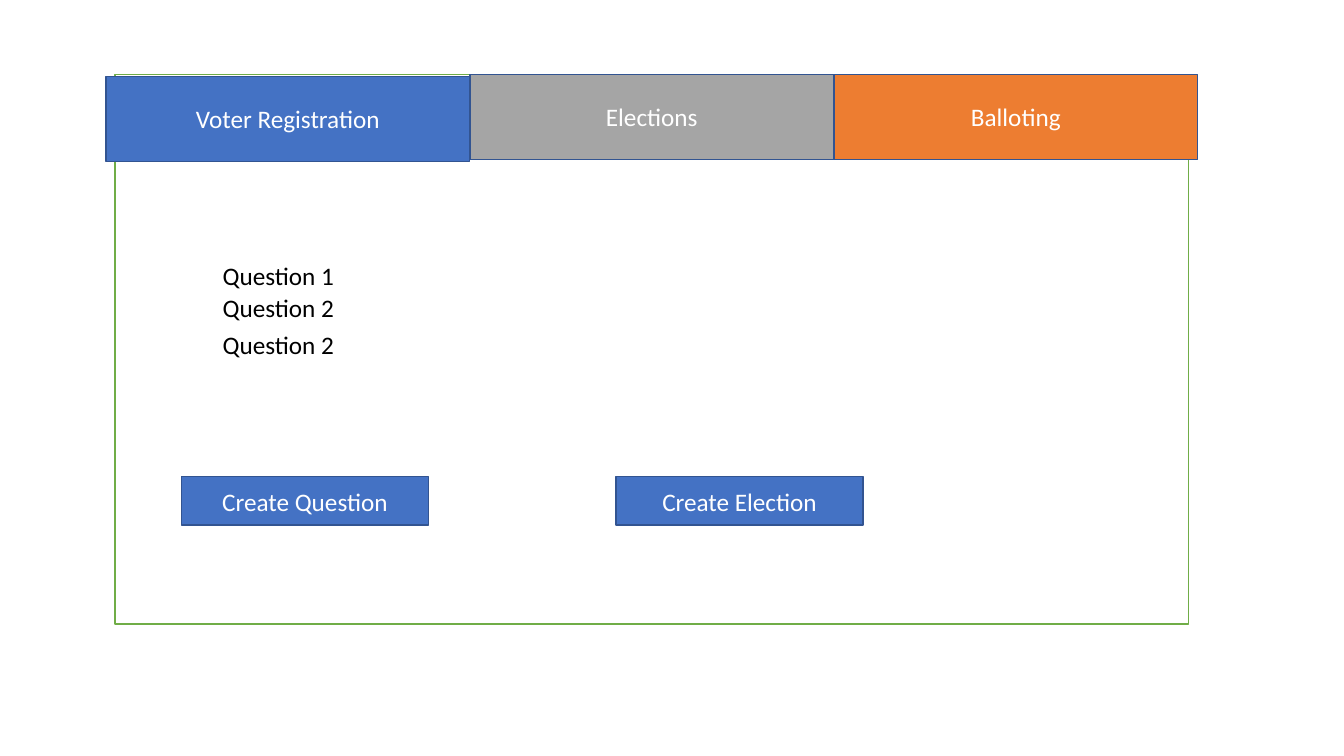
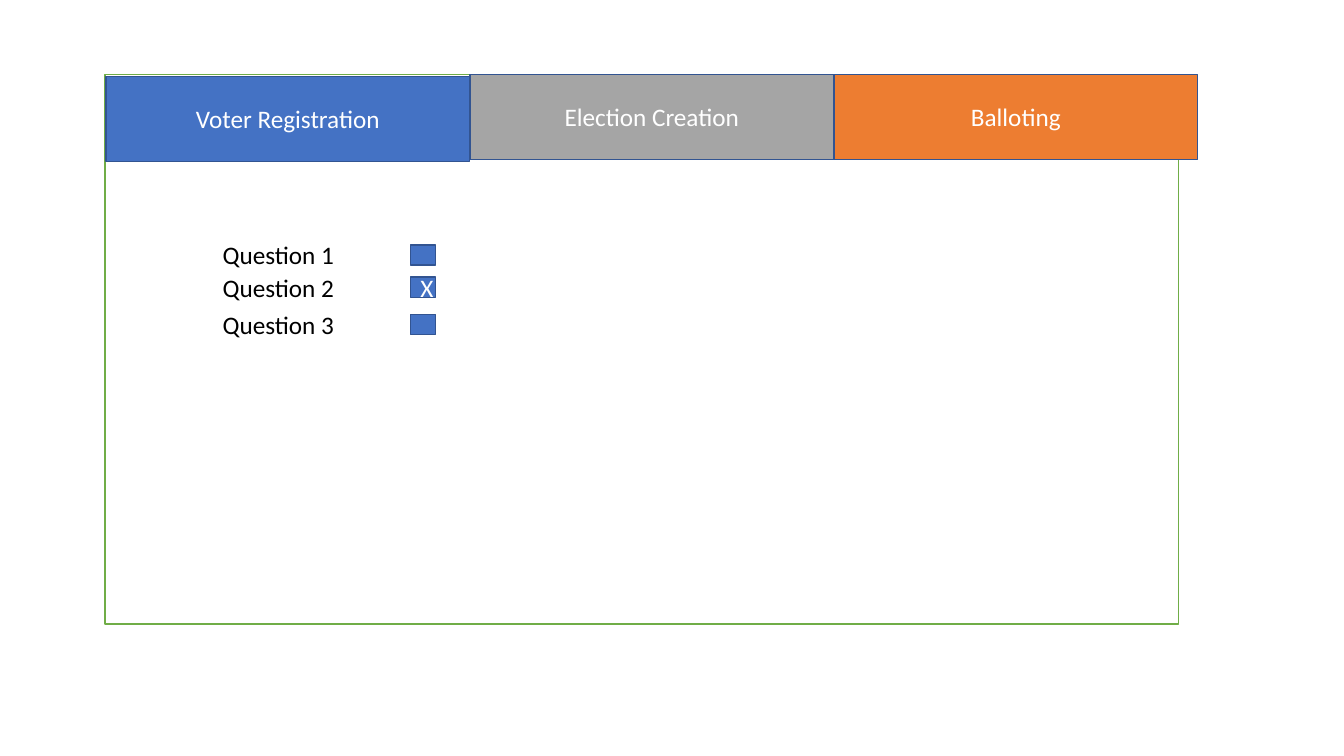
"""Builds two mock-up screens of a voting application."""
from pptx import Presentation
from pptx.dml.color import RGBColor
from pptx.enum import shapes, text
from pptx.util import Inches, Pt

HUES = {
    "blue": "4472C4", "grey": "A5A5A5", "orange": "ED7D31", "green": "70AD47",
    "edge": "325491", "white": "FFFFFF", "black": "000000",
}
STEPS = (0, 0.32, 0.69)


class Deck:
    """Holds the style and the current slide."""

    font, size = "Calibri", Pt(18)

    def __init__(self):
        """Start an empty wide deck."""
        self.prs = Presentation()
        self.prs.slide_width = Inches(13.33)
        self.prs.slide_height = Inches(7.5)
        self.slide = None

    def hue(self, name):
        """Return a palette colour."""
        return RGBColor.from_string(HUES[name])

    def fill_in(self, frame, words, hue):
        """Put one styled run in a text frame."""
        frame.word_wrap = True
        run = frame.paragraphs[0].add_run()
        run.text = words
        run.font.name, run.font.size = self.font, self.size
        run.font.color.rgb = self.hue(hue)

    def box(self, x, y, w, h, words="", fill="blue", line="edge"):
        """Add a rectangle with optional centred text."""
        rect = self.slide.shapes.add_shape(
            shapes.MSO_SHAPE.RECTANGLE, Inches(x), Inches(y), Inches(w), Inches(h))
        rect.shadow.inherit = False
        rect.fill.solid()
        rect.fill.fore_color.rgb = self.hue(fill)
        rect.line.color.rgb = self.hue(line)
        rect.line.width = Pt(1)
        if words:
            frame = rect.text_frame
            frame.vertical_anchor = text.MSO_ANCHOR.MIDDLE
            frame.paragraphs[0].alignment = text.PP_ALIGN.CENTER
            self.fill_in(frame, words, "white")

    def label(self, x, y, words):
        """Add a plain line of text."""
        area = self.slide.shapes.add_textbox(
            Inches(x), Inches(y), Inches(2.75), Inches(0.4))
        self.fill_in(area.text_frame, words, "black")
        area.text_frame.auto_size = text.MSO_AUTO_SIZE.SHAPE_TO_FIT_TEXT

    def screen(self, left, middle):
        """Start a slide with its frame and three tabs."""
        self.slide = self.prs.slides.add_slide(self.prs.slide_layouts[6])
        self.box(left, 0.74, 10.65, 5.45, fill="white", line="green")
        tabs = (("Voter Registration", "blue", 0.76),
                (middle, "grey", 0.74),
                ("Balloting", "orange", 0.74))
        for i, (words, fill, top) in enumerate(tabs):
            self.box(1.05 + i * 3.61, top, 3.61, 0.84, words, fill)

    def rows(self, top, items):
        """Add the question lines."""
        for step, words in zip(STEPS, items):
            self.label(2.11, top + step, words)

    def checks(self, top, marks):
        """Add the tick boxes beside the questions."""
        for step, mark in zip(STEPS, marks):
            self.box(4.07, top + step, 0.25, 0.2, mark)


def main():
    """Build and save both screens."""
    deck = Deck()

    deck.screen(1.14, "Elections")
    deck.rows(2.53, ("Question 1", "Question 2", "Question 2"))
    for x, words in ((1.8, "Create Question"), (6.11, "Create Election")):
        deck.box(x, 4.73, 2.45, 0.48, words)

    deck.screen(1.04, "Election Creation")
    deck.rows(2.33, ("Question 1", "Question 2", "Question 3"))
    deck.checks(2.43, ("", "X", ""))

    deck.prs.save("out.pptx")


if __name__ == "__main__":
    main()
